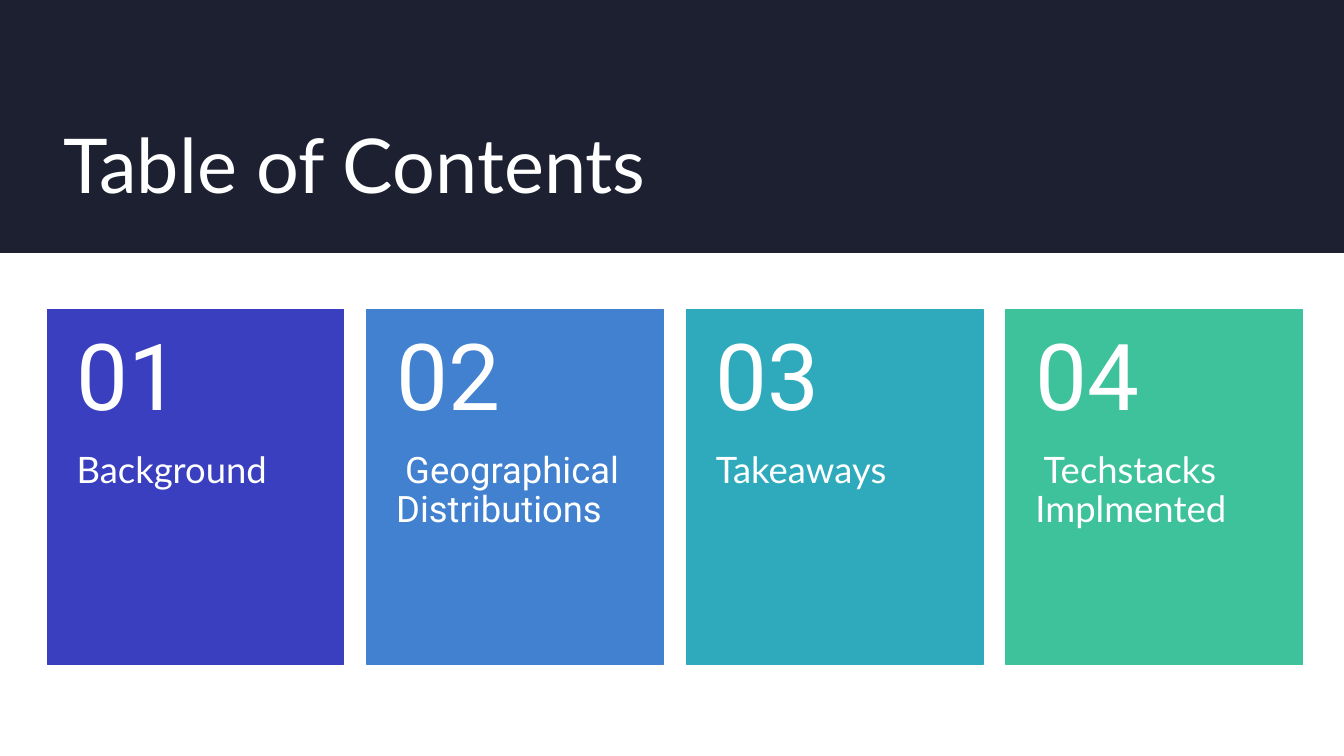
from dataclasses import dataclass

from pptx import Presentation
from pptx import util as u
from pptx.dml.color import RGBColor
from pptx.enum import shapes, text


@dataclass(frozen=True)
class Theme:
    banner: str = "1C2031"
    paper: str = "FFFFFF"
    cards: tuple = ("3A3FC0", "4181CF", "2FAABD", "3DC29C")
    heading_font: str = "Lato"
    number_font: str = "Roboto"
    title_size: int = 54
    number_size: int = 66
    label_size: int = 26


class SlideBuilder:
    """Holds the theme and the current slide."""

    def __init__(self, slide, theme):
        self.slide = slide
        self.theme = theme

    def rectangle(self, left, top, width, height, color, outlined=False):
        shape = self.slide.shapes.add_shape(
            shapes.MSO_SHAPE.RECTANGLE, *map(u.Inches, (left, top, width, height)))
        shape.shadow.inherit = False
        shape.fill.solid()
        shape.fill.fore_color.rgb = RGBColor.from_string(color)
        if outlined:
            shape.line.color.rgb = RGBColor.from_string(color)
            shape.line.width = u.Pt(1)
        else:
            shape.line.fill.background()

    def text_box(self, words, left, top, width, height, font, size,
                 anchor=text.MSO_ANCHOR.TOP, insets=(0.1, 0.05, 0.1, 0.05),
                 line_spacing=1.0):
        box = self.slide.shapes.add_textbox(
            *map(u.Inches, (left, top, width, height)))
        frame = box.text_frame
        frame_format = {"word_wrap": True, "vertical_anchor": anchor}
        for side, inset in zip(("left", "top", "right", "bottom"), insets):
            frame_format[f"margin_{side}"] = u.Inches(inset)
        for name, value in frame_format.items():
            setattr(frame, name, value)
        paragraph = frame.paragraphs[0]
        paragraph.line_spacing = line_spacing
        run = paragraph.add_run()
        run.text = words
        for name, value in {"name": font, "size": u.Pt(size)}.items():
            setattr(run.font, name, value)
        run.font.color.rgb = RGBColor.from_string(self.theme.paper)

    def card(self, number, label, label_font, color, left):
        top, width, height, number_height = 3.07, 2.94, 3.52, 1.41
        theme = self.theme
        self.rectangle(left, top, width, height, color, outlined=True)
        self.text_box(label, left, top + number_height, width,
                      height - number_height, label_font, theme.label_size,
                      insets=(0.29, 0, 0.29, 0.36), line_spacing=0.9)
        self.text_box(f"{number:02}", left, top, width, number_height,
                      theme.number_font, theme.number_size,
                      anchor=text.MSO_ANCHOR.MIDDLE,
                      insets=(0.29, 0.18, 0.29, 0.18), line_spacing=0.9)


def main():
    presentation = Presentation()
    presentation.slide_width = u.Inches(13.33)
    presentation.slide_height = u.Inches(7.5)
    slide = presentation.slides.add_slide(presentation.slide_layouts[6])
    theme = Theme()
    builder = SlideBuilder(slide, theme)

    # Background and title banner
    slide.background.fill.solid()
    slide.background.fill.fore_color.rgb = RGBColor.from_string(theme.paper)
    builder.rectangle(0, 0, 13.33, 2.51, theme.banner)
    builder.text_box("Table of Contents", 0.53, 0.4, 11.89, 1.72,
                     theme.heading_font, theme.title_size,
                     anchor=text.MSO_ANCHOR.BOTTOM)

    # Row of numbered section cards
    sections = [
        ("Background", theme.heading_font),
        (" Geographical Distributions", theme.number_font),
        ("Takeaways", theme.heading_font),
        (" Techstacks Implmented", theme.heading_font),
    ]
    first_left, pitch = 0.47, 3.17
    for index, ((label, font), color) in enumerate(zip(sections, theme.cards)):
        builder.card(index + 1, label, font, color, first_left + index * pitch)

    presentation.save("out.pptx")


if __name__ == "__main__":
    main()
